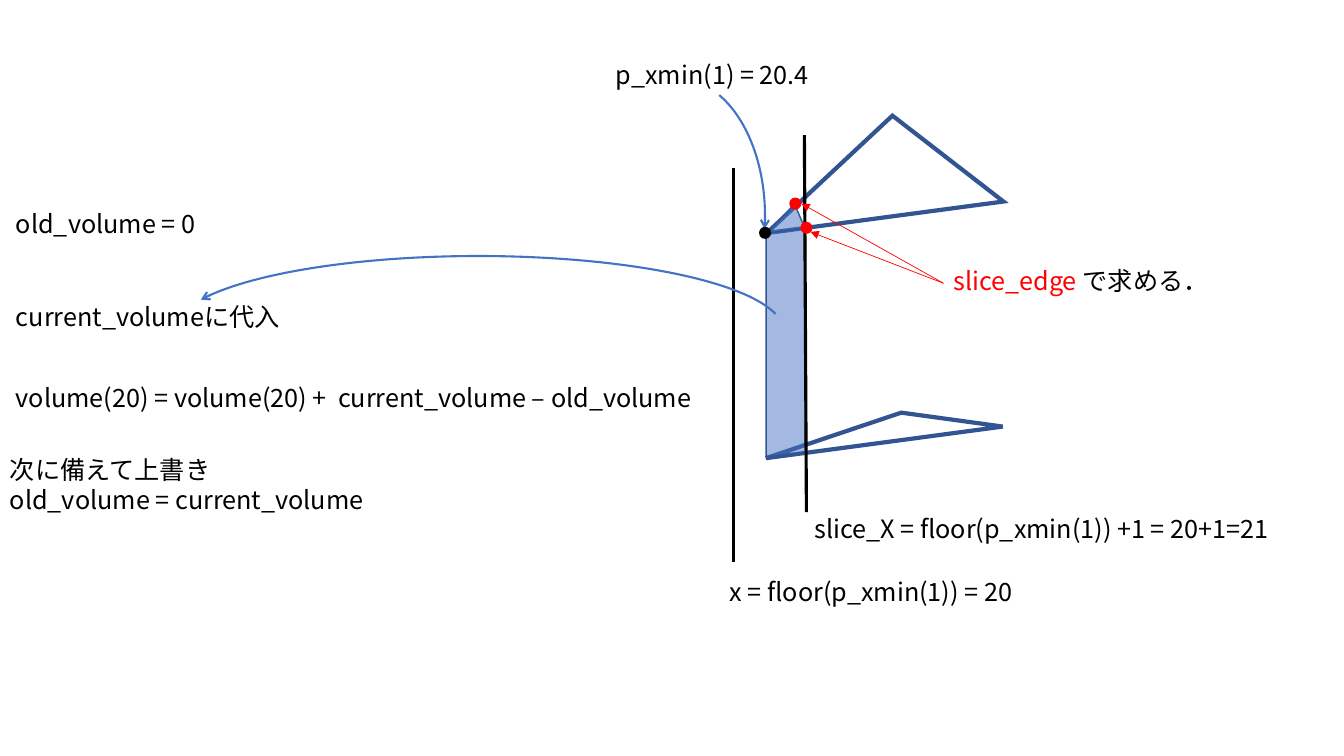
from lxml.etree import SubElement
from pptx import Presentation
from pptx.dml.color import RGBColor
from pptx.enum.shapes import MSO_CONNECTOR, MSO_SHAPE
from pptx.enum.text import MSO_AUTO_SIZE
from pptx.oxml.ns import qn
from pptx.util import Inches, Pt

COLORS = {"ink": "000000", "edge": "325491", "blue": "4472C4", "red": "FF0000"}
TEXT_FORMAT = {"name": "Noto Sans CJK JP", "size": Pt(18)}
FRAME_FORMAT = {"word_wrap": True, "auto_size": MSO_AUTO_SIZE.SHAPE_TO_FIT_TEXT}
CELL = Inches(0.1)
COLUMNS, ROWS = 133.33, 75
LINE_HEIGHT = 4
DOT = 1.2
TILT = 352.4


def cells(*counts):
    return [round(count * CELL) for count in counts]


def assign(target, values):
    for name, value in values.items():
        setattr(target, name, value)


class Sketch:
    def __init__(self, deck):
        self.page = deck.slides.add_slide(deck.slide_layouts[6])

    def paint(self, fill, color, opacity=None):
        fill.solid()
        fill.fore_color.rgb = RGBColor.from_string(COLORS[color])
        if opacity:
            tone = fill._xPr.find(qn("a:solidFill"))[0]
            SubElement(tone, qn("a:alpha"), val=str(opacity * 1000))

    def stroke(self, line, color, width, ends):
        self.paint(line.fill, color)
        line.width = Pt(width)
        outline = line._get_or_add_ln()
        SubElement(outline, qn("a:miter"), lim="800000")
        for end in ("headEnd", "tailEnd"):
            if end in ends:
                SubElement(outline, qn(f"a:{end}"), type=ends[end])

    def shape(self, kind, place, adjust=(), fill=None, opacity=None, line=None,
              width=1, rotation=0, flip=None, **ends):
        shape = self.page.shapes.add_shape(kind, *cells(*place))
        assign(shape, {"rotation": rotation})
        shape.shadow.inherit = False
        for index, value in enumerate(adjust):
            shape.adjustments[index] = value
        if flip:
            shape._element.spPr.xfrm.set(flip, "1")
        if fill:
            self.paint(shape.fill, fill, opacity)
        else:
            shape.fill.background()
        if line:
            self.stroke(shape.line, line, width, ends)
        else:
            shape.line.fill.background()

    def dot(self, left, top, color):
        self.shape(MSO_SHAPE.OVAL, (left, top, DOT, DOT), fill=color)

    def line(self, start, end, color, width, **ends):
        line = self.page.shapes.add_connector(MSO_CONNECTOR.STRAIGHT, *cells(*start, *end))
        self.stroke(line.line, color, width, ends)
        SubElement(line._element.spPr, qn("a:effectLst"))

    def text(self, left, top, width, *lines):
        height = LINE_HEIGHT + 3.1 * (len(lines) - 1)
        box = self.page.shapes.add_textbox(*cells(left, top, width, height))
        frame = box.text_frame
        assign(frame, FRAME_FORMAT)
        for index, spans in enumerate(lines):
            para = frame.add_paragraph() if index else frame.paragraphs[0]
            for words, color in spans:
                span = para.add_run()
                span.text = words
                assign(span.font, TEXT_FORMAT)
                self.paint(span.font.fill, color)
                SubElement(span.font._element, qn("a:ea"), typeface=TEXT_FORMAT["name"])

    def label(self, left, top, width, *lines):
        self.text(left, top, width, *([(words, "ink")] for words in lines))


def main():
    deck = Presentation()
    assign(deck, dict(zip(("slide_width", "slide_height"), cells(COLUMNS, ROWS))))
    sketch = Sketch(deck)
    triangle = MSO_SHAPE.ISOSCELES_TRIANGLE

    for place in ((75.3, 11.7, 23.7, 9.9), (75.7, 41.2, 23.7, 2.7)):
        sketch.shape(triangle, place, [0.587], line="edge", width=3, rotation=TILT)
    sketch.shape(MSO_SHAPE.PARALLELOGRAM, (66.6, 32, 22.7, 3.9), [0.103],
                 "blue", 49, "edge", rotation=90, flip="flipV")
    sketch.shape(triangle, (75.9, 20.4, 3.8, 2.5), [0.817],
                 "blue", 50, "edge", rotation=TILT)

    sketch.label(71.4, 56.7, 53.6, "x = floor(p_xmin(1)) = 20")
    sketch.label(60.1, 5.4, 22.6, "p_xmin(1) = 20.4")
    sketch.line((79.8, 13.4), (80, 50.8), "ink", 2.25)
    sketch.line((72.8, 16.7), (72.8, 55.8), "ink", 2.25)
    sketch.label(79.8, 50.4, 53.5, "slice_X = floor(p_xmin(1)) +1 = 20+1=21")

    sketch.shape(MSO_SHAPE.ARC, (17.2, 25.4, 60.5, 14.8), (109.92, 212.18),
                 line="blue", width=1.5, flip="flipH", tailEnd="arrow")
    sketch.label(0.6, 29.4, 30.6, "current_volumeに代入")
    sketch.label(0.6, 37.4, 72.2, "volume(20) = volume(20) +  current_volume – old_volume")
    sketch.label(0.6, 20.2, 20.1, "old_volume = 0")
    sketch.label(0, 44.6, 53.6, "次に備えて上書き", "old_volume = current_volume")
    sketch.shape(MSO_SHAPE.ARC, (58.6, 7.8, 17.3, 27.2), (102.81, 150.63),
                 line="blue", width=1.5, flip="flipH", headEnd="arrow")

    sketch.dot(79.4, 22, "red")
    sketch.dot(78.3, 19.6, "red")
    for target in ((79.5, 20.2), (80.4, 23)):
        sketch.line((93.6, 28.1), target, "red", 0.5, tailEnd="triangle")
    sketch.text(93.6, 25.8, 27.5, [("slice_edge ", "red"), ("で求める．", "ink")])
    sketch.dot(75.3, 22.5, "ink")

    deck.save("out.pptx")


if __name__ == "__main__":
    main()
